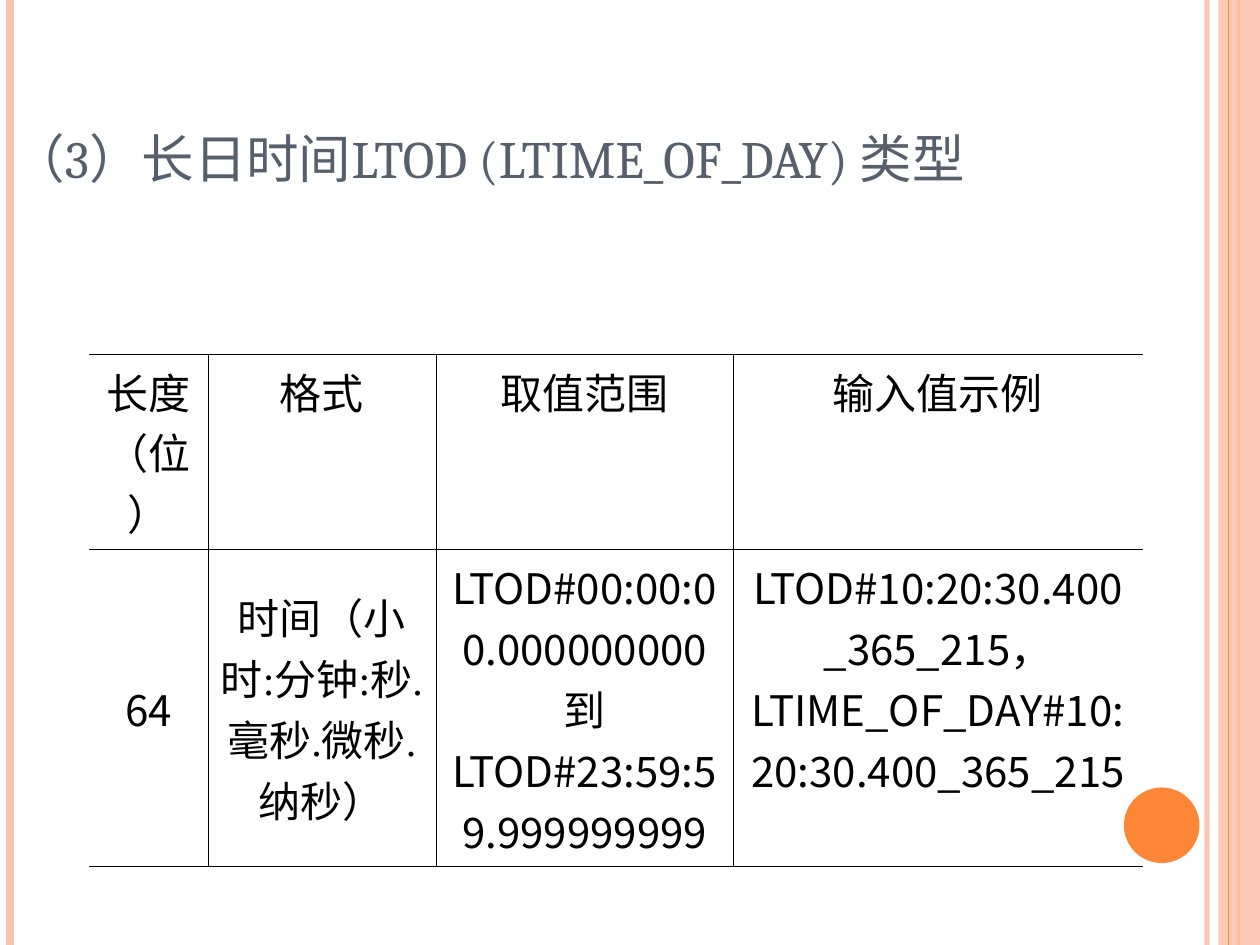
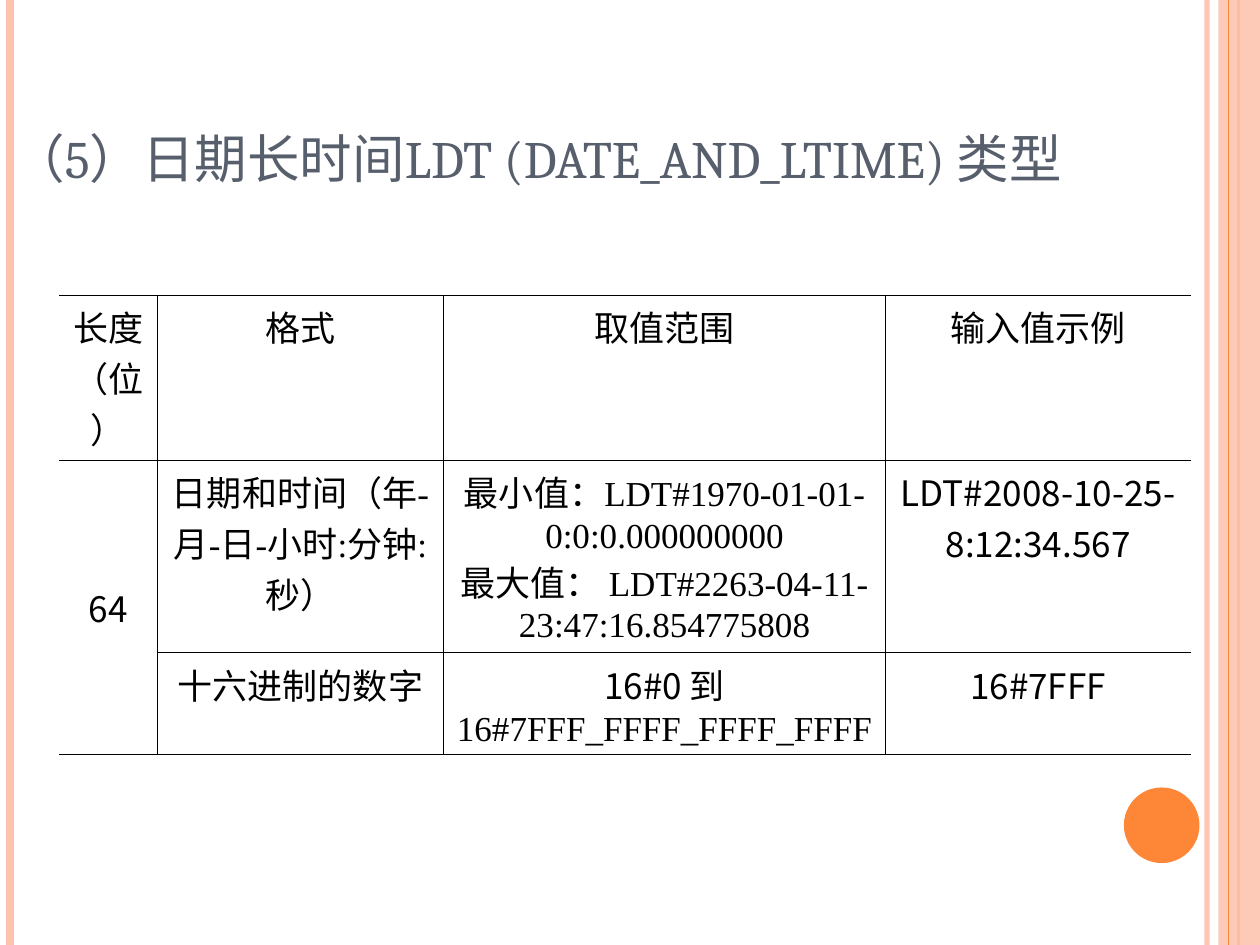
from dataclasses import dataclass

from lxml import etree
from pptx import Presentation
from pptx.dml.color import RGBColor
from pptx.enum.shapes import MSO_CONNECTOR, MSO_SHAPE
from pptx.enum.text import MSO_ANCHOR, PP_ALIGN
from pptx.oxml.ns import qn
from pptx.util import Inches, Pt

STRAIGHT = MSO_CONNECTOR.STRAIGHT
RECTANGLE, OVAL = MSO_SHAPE.RECTANGLE, MSO_SHAPE.OVAL
TOP, MIDDLE, BOTTOM = MSO_ANCHOR.TOP, MSO_ANCHOR.MIDDLE, MSO_ANCHOR.BOTTOM
LEFT, CENTER = PP_ALIGN.LEFT, PP_ALIGN.CENTER


@dataclass(frozen=True)
class Theme:
    orange: str = "FE8637"
    peach: str = "FEC3AE"
    slate: str = "575F6D"
    black: str = "000000"
    title_font: str = "Cambria"
    serif: str = "Times New Roman"
    sans: str = "Noto Sans CJK SC"
    title_size: int = 30
    border: float = 0.45


THEME = Theme()
SERIF, SANS = THEME.serif, THEME.sans


def write(frame, paragraphs, size, color, align=LEFT):
    frame.word_wrap = True
    for index, runs in enumerate(paragraphs):
        para = frame.paragraphs[0] if index == 0 else frame.add_paragraph()
        para.alignment = align
        for text, font_name in runs:
            span = para.add_run()
            span.text = text
            span.font.size = Pt(size)
            span.font.name = font_name
            span.font.color.rgb = RGBColor.from_string(color)
            east_asian = etree.SubElement(span.font._element, qn("a:ea"))
            east_asian.set("typeface", SANS)


def set_opacity(shape, percent):
    color = shape._element.find(".//" + qn("a:srgbClr"))
    etree.SubElement(color, qn("a:alpha")).set("val", str(percent * 1000))


STRIPES = [
    (9.58, THEME.peach, 3, 93),
    (0.08, THEME.peach, 4.5, 100),
    (9.83, THEME.orange, 1.5, 100),
    (9.75, THEME.orange, 0.75, 100),
]
PANELS = [
    (RECTANGLE, (9.67, 0, 0.33, 7.5), THEME.peach, 87),
    (OVAL, (8.92, 6.25, 0.6, 0.6), THEME.orange, 100),
]
HEADER = [[[(label, SERIF)]] for label in ("长度（位）", "格式", "取值范围", "输入值示例")]
BITS = [[("64", SANS)]]

PAGES = [
    {
        "title": "（3）长日时间LTOD (LTIME_OF_DAY) 类型",
        "title_width": 8.67,
        "origin": (0.71, 2.81),
        "columns": [0.94, 1.81, 2.36, 3.25],
        "heights": [1.55, 2.52],
        "size": 24,
        "middle": [(1, 0), (1, 1)],
        "rows": [
            HEADER,
            [
                BITS,
                [[("时间（小时:分钟:秒.毫秒.微秒.纳秒）", SERIF)]],
                [
                    [("LTOD#00:00:00.000000000 ", SANS), ("到", SERIF)],
                    [("LTOD#23:59:59.999999999", SANS)],
                ],
                [
                    [("LTOD#10:20:30.400_365_215", SANS), ("，", SERIF)],
                    [("LTIME_OF_DAY#10:20:30.400_365_215", SANS)],
                ],
            ],
        ],
    },
    {
        "title": "（5）日期长时间LDT (DATE_AND_LTIME) 类型",
        "title_width": 9.69,
        "origin": (0.47, 2.34),
        "columns": [0.78, 2.27, 3.51, 2.42],
        "heights": [1.31, 1.53, 0.81],
        "size": 20,
        "middle": [(1, 0)],
        "rows": [
            HEADER,
            [
                BITS,
                [[("日期和时间（年-月-日-小时:分钟:秒）", SERIF)]],
                [
                    [("最小值：LDT#1970-01-01-0:0:0.000000000", SERIF)],
                    [("最大值： LDT#2263-04-11-23:47:16.854775808", SERIF)],
                ],
                [[("LDT#2008-10-25-8:12:34.567", SANS)]],
            ],
            [
                [],
                [[("十六进制的数字", SERIF)]],
                [[("16#0 ", SANS), ("到16#7FFF_FFFF_FFFF_FFFF", SERIF)]],
                [[("16#7FFF", SANS)]],
            ],
        ],
    },
]

deck = Presentation()
deck.slide_width, deck.slide_height = Inches(10), Inches(7.5)

for content in PAGES:
    page = deck.slides.add_slide(deck.slide_layouts[6])

    stripes = []
    for x, color, width, opacity in STRIPES:
        stripe = page.shapes.add_connector(STRAIGHT, Inches(x), 0, Inches(x), deck.slide_height)
        stripe.line.color.rgb = RGBColor.from_string(color)
        stripe.line.width = Pt(width)
        etree.SubElement(stripe._element.spPr, qn("a:effectLst"))
        set_opacity(stripe, opacity)
        stripes.append(stripe)

    for kind, bounds, color, opacity in PANELS:
        panel = page.shapes.add_shape(kind, *map(Inches, bounds))
        panel.shadow.inherit = False
        panel.fill.solid()
        panel.fill.fore_color.rgb = RGBColor.from_string(color)
        panel.line.fill.background()
        set_opacity(panel, opacity)
        if kind == RECTANGLE:
            panel._element.addnext(stripes[-1]._element)

    box = page.shapes.add_textbox(0, Inches(0.3), Inches(content["title_width"]), Inches(1.25))
    box.text_frame.vertical_anchor = BOTTOM
    write(box.text_frame, [[(content["title"], THEME.title_font)]],
          size=THEME.title_size, color=THEME.slate)

    rows, columns, heights = content["rows"], content["columns"], content["heights"]
    left, top = content["origin"]
    table = page.shapes.add_table(
        len(rows), len(columns), Inches(left), Inches(top),
        Inches(sum(columns)), Inches(sum(heights))).table
    table.first_row = table.horz_banding = False
    for column, width in zip(table.columns, columns):
        column.width = Inches(width)
    for row, height in zip(table.rows, heights):
        row.height = Inches(height)

    for r, row in enumerate(rows):
        for c, paragraphs in enumerate(row):
            cell = table.cell(r, c)
            cell.margin_left = cell.margin_right = Inches(0.08)
            cell.margin_top = cell.margin_bottom = Inches(0.05)
            cell.vertical_anchor = MIDDLE if (r, c) in content["middle"] else TOP
            write(cell.text_frame, paragraphs, size=content["size"],
                  color=THEME.black, align=CENTER)
            properties = cell._tc.get_or_add_tcPr()
            open_sides = {"L": c == 0, "R": c == len(columns) - 1}
            for side in "LRTB":
                edge = etree.SubElement(properties, qn("a:ln" + side))
                edge.set("w", str(Pt(THEME.border)))
                if open_sides.get(side):
                    etree.SubElement(edge, qn("a:noFill"))
                else:
                    fill = etree.SubElement(edge, qn("a:solidFill"))
                    etree.SubElement(fill, qn("a:srgbClr")).set("val", THEME.black)
            cell.fill.background()

    if len(rows) > 2:
        table.cell(1, 0).merge(table.cell(2, 0))

deck.save("out.pptx")
